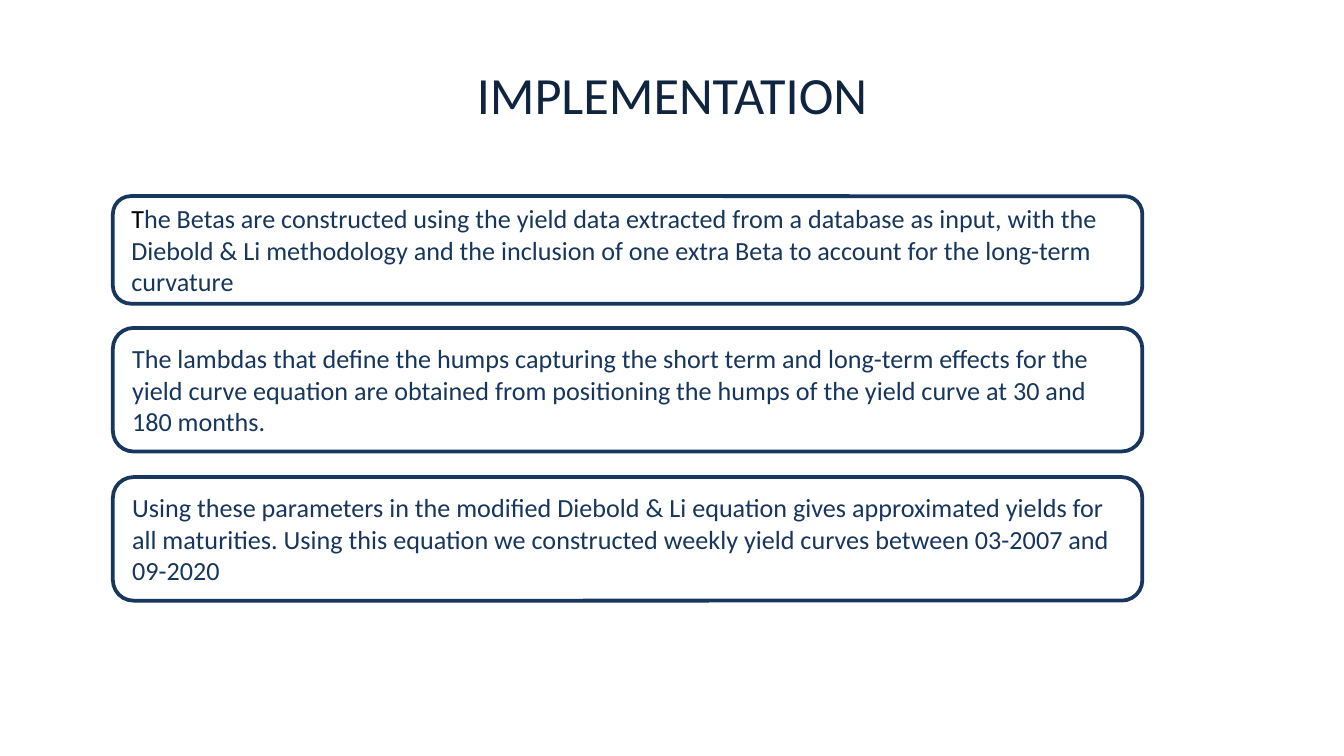
import pptx
import pptx.dml.color
import pptx.enum.shapes
import pptx.enum.text
import pptx.util

Pt = pptx.util.Pt
FONT = "Calibri"
TITLE_COLOR, BORDER, BODY, BLACK, WHITE = "0F243E", "17375E", "17365D", "000000", "FFFFFF"

# Content
HEADING = "IMPLEMENTATION"
# Each step: top, height, runs of (text, colour)
STEPS = [
    (105.1, 57.6, [
        ("T", BLACK),
        ("he Betas are constructed using the yield data extracted from a database "
         "as input, with the Diebold & Li methodology and the inclusion of one "
         "extra Beta to account for the long-term curvature", BODY)]),
    (175.7, 66.2, [
        ("The lambdas that define the humps capturing the short term and long-term "
         "effects for the yield curve equation are obtained from positioning the "
         "humps of the yield curve at 30 and 180 months.", BODY)]),
    (255.6, 66.2, [
        ("Using these parameters in the modified Diebold & Li equation gives "
         "approximated yields for all maturities. Using this equation we constructed "
         "weekly yield curves between 03-2007 and 09-2020", BODY)]),
]
STEP_LEFT, STEP_WIDTH = 60.5, 551.5


def rgb(color):
    return pptx.dml.color.RGBColor.from_string(color)


def write(shape, runs, size, align):
    frame = shape.text_frame
    frame.word_wrap = True
    frame.vertical_anchor = pptx.enum.text.MSO_ANCHOR.MIDDLE
    paragraph = frame.paragraphs[0]
    paragraph.alignment = align
    paragraph.font.name = FONT
    paragraph.font.size = Pt(size)
    for text, color in runs:
        run = paragraph.add_run()
        run.text = text
        run.font.color.rgb = rgb(color)


deck = pptx.Presentation()
deck.slide_width, deck.slide_height = Pt(720), Pt(405)
slide = deck.slides.add_slide(deck.slide_layouts[6])

# Heading
heading = slide.shapes.add_textbox(Pt(36), Pt(16.5), Pt(648), Pt(67.5))
write(heading, [(HEADING, TITLE_COLOR)], 28, pptx.enum.text.PP_ALIGN.CENTER)

# Step boxes
for top, height, runs in STEPS:
    step = slide.shapes.add_shape(
        pptx.enum.shapes.MSO_SHAPE.ROUNDED_RECTANGLE,
        Pt(STEP_LEFT), Pt(top), Pt(STEP_WIDTH), Pt(height))
    step.shadow.inherit = False
    step.fill.solid()
    step.fill.fore_color.rgb = rgb(WHITE)
    step.line.color.rgb = rgb(BORDER)
    step.line.width = Pt(2)
    write(step, runs, 14, pptx.enum.text.PP_ALIGN.LEFT)

deck.save("out.pptx")
